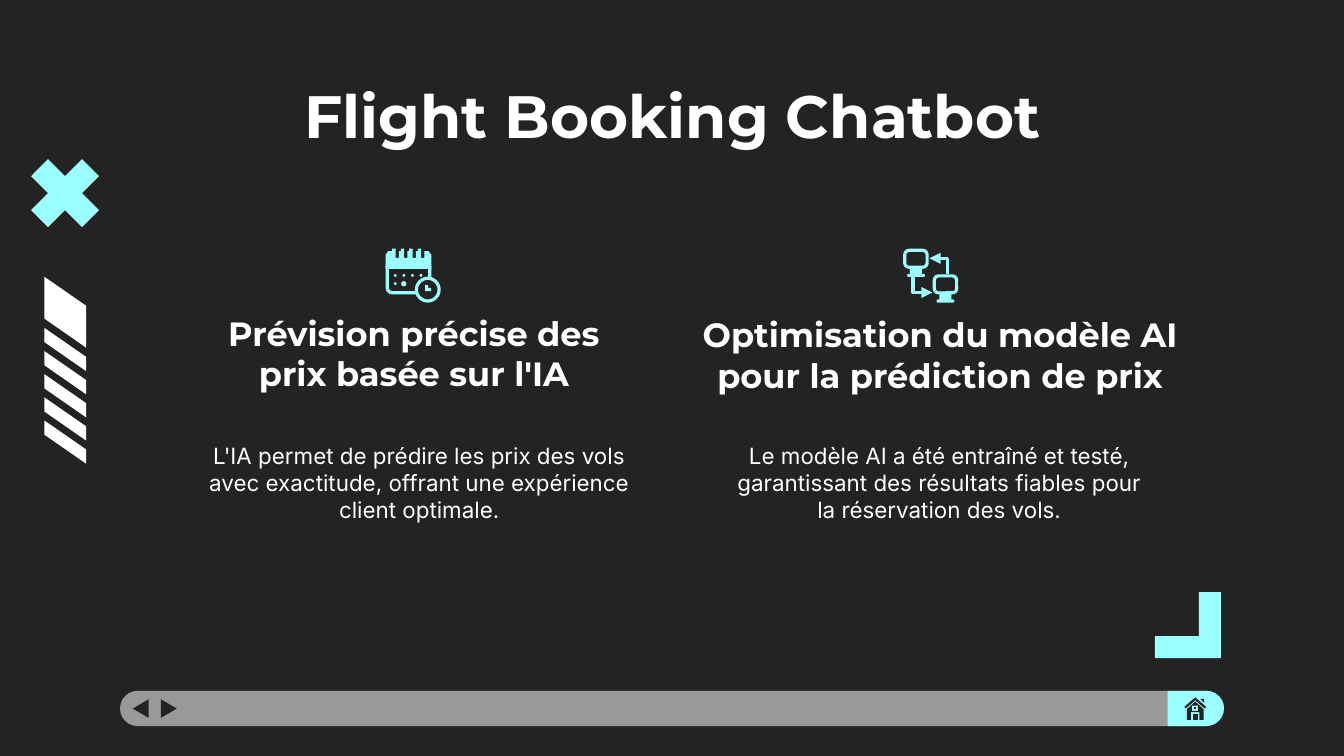
from lxml import etree
from pptx import Presentation
from pptx.dml.color import RGBColor
from pptx.enum.shapes import MSO_SHAPE
from pptx.enum.text import MSO_ANCHOR, PP_ALIGN
from pptx.oxml.ns import qn
from pptx.util import Pt

DARK = RGBColor(0x23, 0x23, 0x23)
CYAN = RGBColor(0x9C, 0xFF, 0xFF)
GREY = RGBColor(0x99, 0x99, 0x99)
WHITE = RGBColor(0xFF, 0xFF, 0xFF)
RECT = MSO_SHAPE.RECTANGLE
ROUNDED = MSO_SHAPE.ROUNDED_RECTANGLE
ROUND_TOP = MSO_SHAPE.ROUND_2_SAME_RECTANGLE
TRIANGLE = MSO_SHAPE.ISOSCELES_TRIANGLE
OVAL = MSO_SHAPE.OVAL
TOP, BOTTOM = MSO_ANCHOR.TOP, MSO_ANCHOR.BOTTOM
CENTER = PP_ALIGN.CENTER

TITLE = {"name": "Montserrat", "size": Pt(32), "bold": True}
HEADING = {"name": "Montserrat", "size": Pt(18), "bold": True}
BODY = {"name": "Inter", "size": Pt(12), "bold": False}
STROKE = 1.7


class SlideWriter:
    """Draws styled text, presets and outlines on one slide, in points."""

    def __init__(self, slide):
        self.slide = slide
        slide.background.fill.solid()
        slide.background.fill.fore_color.rgb = DARK

    def paint(self, shape, fill=None, line=None, weight=STROKE):
        shape.shadow.inherit = False
        if fill is None:
            shape.fill.background()
        else:
            shape.fill.solid()
            shape.fill.fore_color.rgb = fill
        if line is None:
            shape.line.fill.background()
        else:
            shape.line.color.rgb = line
            shape.line.width = Pt(weight)
        return shape

    def preset(self, kind, box, fill=None, line=None, rotation=0, adjust=()):
        shape = self.slide.shapes.add_shape(kind, *map(Pt, box))
        shape.rotation = rotation
        for index, value in enumerate(adjust):
            shape.adjustments[index] = value
        return self.paint(shape, fill, line)

    def outline(self, contours, fill):
        first, *others = [[(Pt(x), Pt(y)) for x, y in c] for c in contours]
        builder = self.slide.shapes.build_freeform(*first[0])
        builder.add_line_segments(first[1:], close=True)
        for contour in others:
            builder.move_to(*contour[0])
            builder.add_line_segments(contour[1:], close=True)
        return self.paint(builder.convert_to_shape(), fill)

    def stroke(self, points, color, weight=STROKE, arrow=False):
        start, *rest = [(Pt(x), Pt(y)) for x, y in points]
        builder = self.slide.shapes.build_freeform(*start)
        builder.add_line_segments(rest, close=False)
        shape = self.paint(builder.convert_to_shape(), None, color, weight)
        if arrow:
            line = shape.line._get_or_add_ln()
            etree.SubElement(line, qn("a:tailEnd"), type="triangle")
        return shape

    def text(self, box, words, style, anchor=TOP):
        frame = self.slide.shapes.add_textbox(*map(Pt, box)).text_frame
        margins = {f"margin_{side}": Pt(7.2)
                   for side in ("left", "top", "right", "bottom")}
        layout = {"word_wrap": True, "vertical_anchor": anchor, **margins}
        for name, value in layout.items():
            setattr(frame, name, value)
        paragraph = frame.paragraphs[0]
        paragraph.alignment = CENTER
        run = paragraph.add_run()
        run.text = words
        for name, value in style.items():
            setattr(run.font, name, value)
        run.font.color.rgb = WHITE


def rectangle(left, top, right, bottom):
    return [(left, top), (right, top), (right, bottom), (left, bottom)]


def draw_navigation(writer):
    writer.preset(ROUNDED, (64.3, 370.1, 591.1, 18.9), GREY, adjust=(0.5,))
    writer.preset(ROUND_TOP, (631.2, 364.4, 18.9, 30.2), CYAN,
                  rotation=90, adjust=(0.5, 0))
    for left, rotation in ((70.4, 270), (85.4, 90)):
        writer.preset(TRIANGLE, (left, 375.3, 10, 8.6), DARK, rotation=rotation)
    walls = [(640.3, 375.9), (635.8, 380), (635.8, 385.7), (638, 385.7),
             (638, 381.5), (642.6, 381.5), (642.6, 385.7), (644.8, 385.7),
             (644.8, 380)]
    window = rectangle(638.6, 378, 641.8, 380.9)
    writer.outline([walls, window], DARK)
    writer.outline([rectangle(638.9, 382.4, 641.7, 385.7)], DARK)
    writer.outline([rectangle(639.5, 378.8, 640.9, 380.1)], DARK)
    writer.outline([[(643, 374.4), (645, 374.4), (645, 376.4)]], DARK)
    writer.stroke([(634.9, 379.1), (640.3, 374.4), (645.7, 379.1)], DARK, 1.2)


def draw_ornaments(writer):
    left, right, drop = 23.8, 46.1, 15.5
    stripes = [(148.3, 22.4)] + [(175.7 + 12.4 * i, 7.6) for i in range(5)]
    for top, height in stripes:
        writer.outline([[(left, top), (left, top + height),
                         (right, top + height + drop), (right, top + drop)]], WHITE)
    center_x, center_y, reach, arm = 34.9, 103.5, 18.2, 9.1
    quarter = [(-arm, -reach), (0, -arm), (arm, -reach)]
    cross = []
    for _ in range(4):
        cross += quarter[1:]
        cross.append((reach, -arm))
        quarter = [(-y, x) for x, y in quarter]
        cross = [(y, -x) for x, y in cross]
        quarter = [(y, -x) for x, y in quarter]
    writer.outline([[(center_x + x, center_y + y) for x, y in cross]], CYAN)
    writer.outline([[(642.2, 317.2), (654.1, 317.2), (654.1, 352.6),
                     (618.7, 352.6), (618.7, 340.8), (642.2, 340.8)]], CYAN)


def draw_calendar(writer):
    writer.preset(ROUNDED, (207.5, 140, 22.7, 16.8), line=CYAN, adjust=(0.15,))
    header = [(206.6, 144), (206.6, 136.5), (208, 134.6)]
    for ring in range(4):
        x = 210.2 + 4.55 * ring
        header += [(x, 134.6), (x, 133.2), (x + 1.8, 133.2),
                   (x + 1.8, 138.2), (x + 3.5, 138.2), (x + 3.5, 134.6)]
    header += [(229.7, 134.6), (231.1, 136.5), (231.1, 144)]
    writer.outline([header], CYAN)
    days = [(211 + 4.6 * i, 146.8, 1.5) for i in range(4)]
    for x, y, size in days + [(211, 151.2, 1.5), (214.9, 150.6, 2.8)]:
        writer.preset(OVAL, (x, y, size, size), CYAN)
    writer.preset(OVAL, (223.1, 149.1, 12.2, 12.2), DARK, CYAN)
    writer.outline([[(227.8, 152.8), (229.4, 152.8), (229.4, 154.3),
                     (231, 154.3), (231, 156), (227.8, 156)]], CYAN)


def draw_network(writer):
    writer.stroke([(507.6, 147), (507.6, 138.4), (498, 138.4)], CYAN, arrow=True)
    writer.stroke([(489.1, 148), (489.1, 156.7), (499.5, 156.7)], CYAN, arrow=True)
    for x, y in ((484.7, 134.1), (500.5, 147.8)):
        writer.preset(ROUNDED, (x, y, 12, 9.1), line=CYAN, adjust=(0.25,))
        writer.preset(RECT, (x + 2.8, y + 9, 6.4, 4.4), CYAN)
        writer.preset(ROUNDED, (x + 1.2, y + 12.6, 9.6, 1.7), CYAN, adjust=(0.5,))


def main():
    deck = Presentation()
    deck.slide_width, deck.slide_height = Pt(720), Pt(405)
    writer = SlideWriter(deck.slides.add_slide(deck.slide_layouts[6]))
    draw_navigation(writer)
    draw_ornaments(writer)
    writer.text((56.9, 35.3, 607, 45.4), "Flight Booking Chatbot", TITLE)
    columns = [
        ((101.5, 184.3, 240.5, 33.8), "Prévision précise des prix basée sur l'IA", 104.4,
         "L'IA permet de prédire les prix des vols avec exactitude, "
         "offrant une expérience client optimale."),
        ((363.6, 167, 280.1, 51.8), "Optimisation du modèle AI pour la prédiction de prix", 383,
         "Le modèle AI a été entraîné et testé, garantissant des résultats "
         "fiables pour la réservation des vols."),
    ]
    for heading_box, heading, body_left, body in columns:
        writer.text(heading_box, heading, HEADING, BOTTOM)
        writer.text((body_left, 229.7, 240.5, 113.8), body, BODY)
    draw_calendar(writer)
    draw_network(writer)
    deck.save("out.pptx")


if __name__ == "__main__":
    main()
